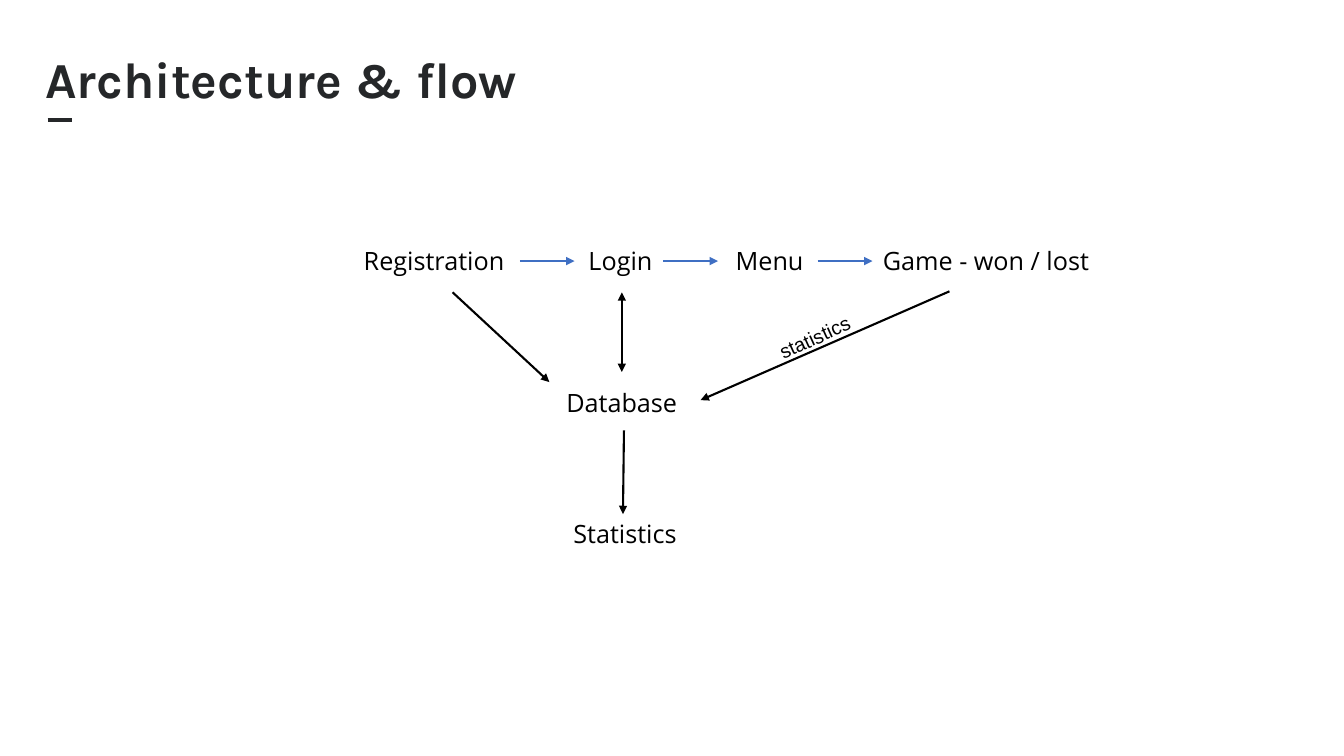
from pptx import Presentation
from pptx.dml.color import RGBColor
from pptx.enum.shapes import MSO_CONNECTOR
from pptx.enum.text import MSO_ANCHOR, MSO_AUTO_SIZE
from pptx.oxml.ns import qn
from pptx.util import Pt
from lxml.etree import SubElement

INK = "252729"
BLACK = "000000"
BLUE = "3F6FC3"
STEP_TOP = 172
STEP_ARROW_Y = 186.5
STEP_ARROW_LENGTH = 39.1


def rgb(color):
    return RGBColor.from_string(color)


def add_label(slide, text, left, top, width, height=29, size=18, font="Open Sans"):
    sp = slide.shapes.add_textbox(Pt(left), Pt(top), Pt(width), Pt(height))
    tf = sp.text_frame
    tf.word_wrap = True
    tf.auto_size = MSO_AUTO_SIZE.SHAPE_TO_FIT_TEXT
    p = tf.paragraphs[0]
    p.text = text
    p.font.name = font
    p.font.size = Pt(size)
    p.font.color.rgb = rgb(BLACK)
    return sp


def add_title(slide, text):
    sp = add_label(slide, text, 25.2, 23, 378, 65.5, 36, "Karla")
    tf = sp.text_frame
    tf.auto_size = MSO_AUTO_SIZE.NONE
    tf.vertical_anchor = MSO_ANCHOR.MIDDLE
    tf.margin_top = tf.margin_bottom = Pt(7.2)
    font = tf.paragraphs[0].font
    font.bold = True
    font.color.rgb = rgb(INK)


def add_line(slide, start, end, color=BLACK, width=1.5, ends=("tailEnd",)):
    """Draw a line; ends lists headEnd (start) and tailEnd (end) arrowheads."""
    line = slide.shapes.add_connector(
        MSO_CONNECTOR.STRAIGHT, *(Pt(v) for v in (*start, *end)))
    line.line.color.rgb = rgb(color)
    line.line.width = Pt(width)
    ln = line.line._get_or_add_ln()
    for tag in ends:
        SubElement(ln, qn(f"a:{tag}"), type="triangle")
    SubElement(line._element.spPr, qn("a:effectLst"))


def main():
    prs = Presentation()
    prs.slide_width, prs.slide_height = Pt(960), Pt(540)
    slide = prs.slides.add_slide(prs.slide_layouts[6])

    add_title(slide, "Architecture & flow")
    add_line(slide, (34, 85.8), (51.2, 85.8), INK, 3, ends=())

    for text, left, width in (
        ("Registration", 252.7, 140),
        ("Login", 413.3, 78),
        ("Menu", 518.4, 78),
        ("Game - won / lost", 623.5, 184),
    ):
        add_label(slide, text, left, STEP_TOP, width)
    for x in (371.3, 473.8, 584.1):
        add_line(slide, (x, STEP_ARROW_Y),
                 (x + STEP_ARROW_LENGTH, STEP_ARROW_Y), BLUE)

    add_label(slide, "Database", 397.4, 273, 109.5)
    add_label(slide, "Statistics", 402.5, 366.5, 100)
    add_line(slide, (323.3, 208.8), (392.4, 272.9))
    add_line(slide, (444.2, 208.8), (444.2, 265.7), ends=("headEnd", "tailEnd"))
    add_line(slide, (678.2, 208.1), (500.4, 285.8))
    add_line(slide, (445.7, 307.4), (445, 367.2))

    note = add_label(slide, "statistics", 547.2, 225.4, 85, 24.5, 14, "Arial")
    note.rotation = 335.5

    prs.save("out.pptx")


if __name__ == "__main__":
    main()
